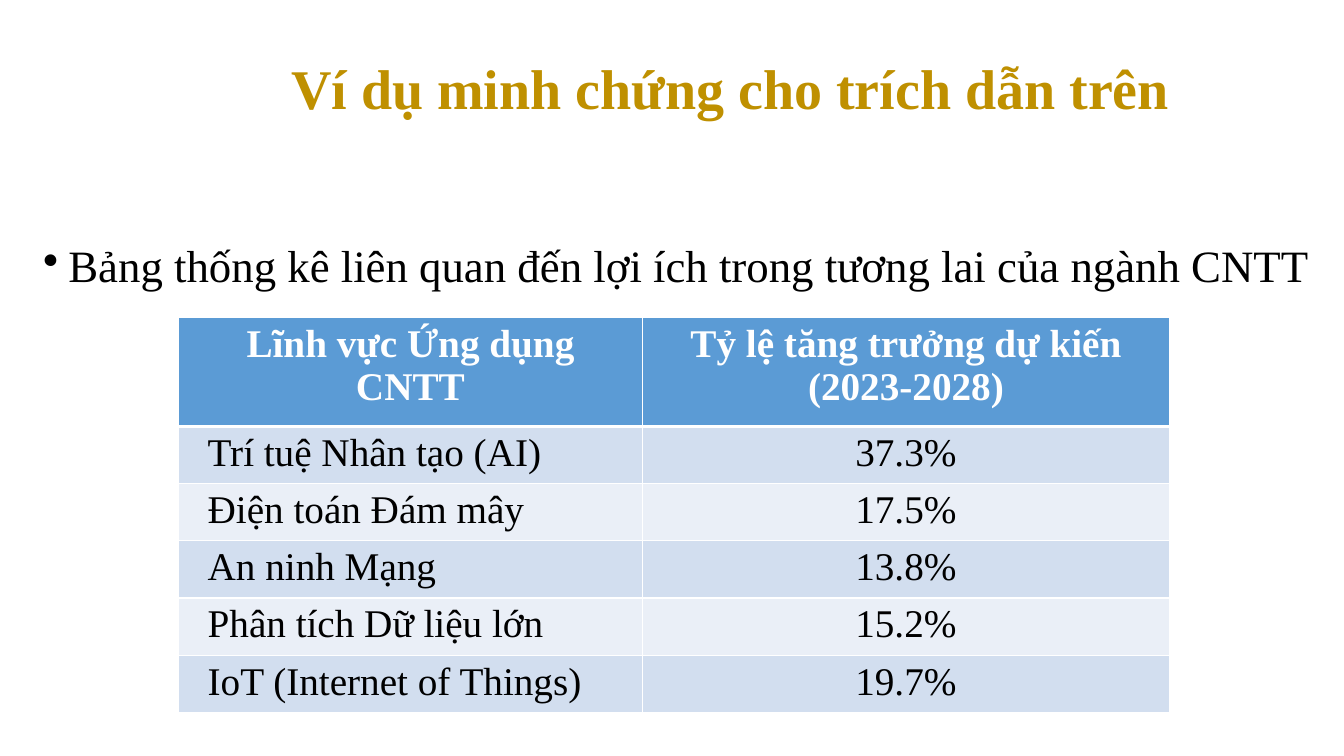
from dataclasses import dataclass

from lxml.etree import SubElement
from pptx import Presentation
from pptx.dml.color import RGBColor
from pptx.enum.text import MSO_ANCHOR, PP_ALIGN
from pptx.oxml.ns import qn
from pptx.util import Pt

PX = 9144  # EMU in one px, 100 px to the inch


@dataclass(frozen=True)
class Theme:
    face: str = "Times New Roman"
    gold: str = "BF9000"
    ink: str = "000000"
    white: str = "FFFFFF"
    head: str = "5B9BD5"
    bands: tuple = ("D2DEEF", "EAEFF7")
    title: int = 40
    body: int = 32
    cell: int = 28


THEME = Theme()

HEADS = ("Lĩnh vực Ứng dụng CNTT", "Tỷ lệ tăng trưởng dự kiến (2023-2028)")
RATES = (
    ("Trí tuệ Nhân tạo (AI)", "37.3%"),
    ("Điện toán Đám mây", "17.5%"),
    ("An ninh Mạng", "13.8%"),
    ("Phân tích Dữ liệu lớn", "15.2%"),
    ("IoT (Internet of Things)", "19.7%"),
)


def px(*sizes):
    return [size * PX for size in sizes]


def style(para, size, color, bold=False):
    font = para.font
    font.name, font.size, font.bold = THEME.face, Pt(size), bold
    font.color.rgb = RGBColor.from_string(color)


def add_text(slide, box, text, anchor):
    frame = slide.shapes.add_textbox(*px(*box)).text_frame
    frame.word_wrap = True
    frame.vertical_anchor = anchor
    para = frame.paragraphs[0]
    para.text = text
    para.line_spacing = 0.9
    return para


def add_title(slide, box, text):
    para = add_text(slide, box, text, MSO_ANCHOR.MIDDLE)
    style(para, THEME.title, THEME.gold, bold=True)


def add_bullet(slide, box, text):
    para = add_text(slide, box, text, MSO_ANCHOR.TOP)
    para.space_before = Pt(10)
    style(para, THEME.body, THEME.ink)
    # Hanging bullet
    props = para._p.get_or_add_pPr()
    indent = 25 * PX
    props.set("marL", str(indent))
    props.set("indent", str(-indent))
    bullet = props.makeelement(qn("a:buChar"), {"char": "•"})
    props.insert_element_before(bullet, "a:tabLst", "a:defRPr", "a:extLst")


def add_rules(cell, foot):
    props = cell._tc.get_or_add_tcPr()
    for side, width in (("L", 1), ("R", 1), ("T", 1), ("B", foot)):
        line = SubElement(props, qn(f"a:ln{side}"), w=str(Pt(width)))
        fill = SubElement(line, qn("a:solidFill"))
        SubElement(fill, qn("a:srgbClr"), val=THEME.white)


def fill_cell(cell, text, fill, color, bold, center, rules):
    # Borders come before the fill in the cell's XML
    add_rules(cell, rules)
    cell.fill.solid()
    cell.fill.fore_color.rgb = RGBColor.from_string(fill)
    para = cell.text_frame.paragraphs[0]
    para.text = text
    para.alignment = PP_ALIGN.CENTER if center else PP_ALIGN.LEFT
    if not center:
        cell.margin_left = 29 * PX
    style(para, THEME.cell, color, bold)


def add_rates(slide, box, first=460, top=108):
    left, y, width, height = box
    shape = slide.shapes.add_table(len(RATES) + 1, 2, *px(*box))
    table = shape.table
    for col, size in zip(table.columns, px(first, width - first)):
        col.width = size
    step = (height - top) // len(RATES)
    for row, size in zip(table.rows, px(top, *[step] * len(RATES))):
        row.height = size
    # Header
    for c, text in enumerate(HEADS):
        fill_cell(table.cell(0, c), text, THEME.head, THEME.white,
                  bold=True, center=True, rules=3)
    # Banded rows
    for r, pair in enumerate(RATES):
        for c, text in enumerate(pair):
            fill_cell(table.cell(r + 1, c), text, THEME.bands[r % 2],
                      THEME.ink, bold=False, center=c == 1, rules=1)
    # The header's thick rule is shared with the first row
    for c in range(2):
        edge = table.cell(1, c)._tc.tcPr.find(qn("a:lnT"))
        edge.set("w", str(Pt(3)))


def main():
    deck = Presentation()
    deck.slide_width, deck.slide_height = px(1333, 750)
    slide = deck.slides.add_slide(deck.slide_layouts[6])
    add_title(slide, (279, 18, 1150, 145), "Ví dụ minh chứng cho trích dẫn trên")
    add_bullet(slide, (33, 237, 1300, 78),
               "Bảng thống kê liên quan đến lợi ích trong tương lai của ngành CNTT")
    add_rates(slide, (177, 315, 983, 373))
    deck.save("out.pptx")


if __name__ == "__main__":
    main()
